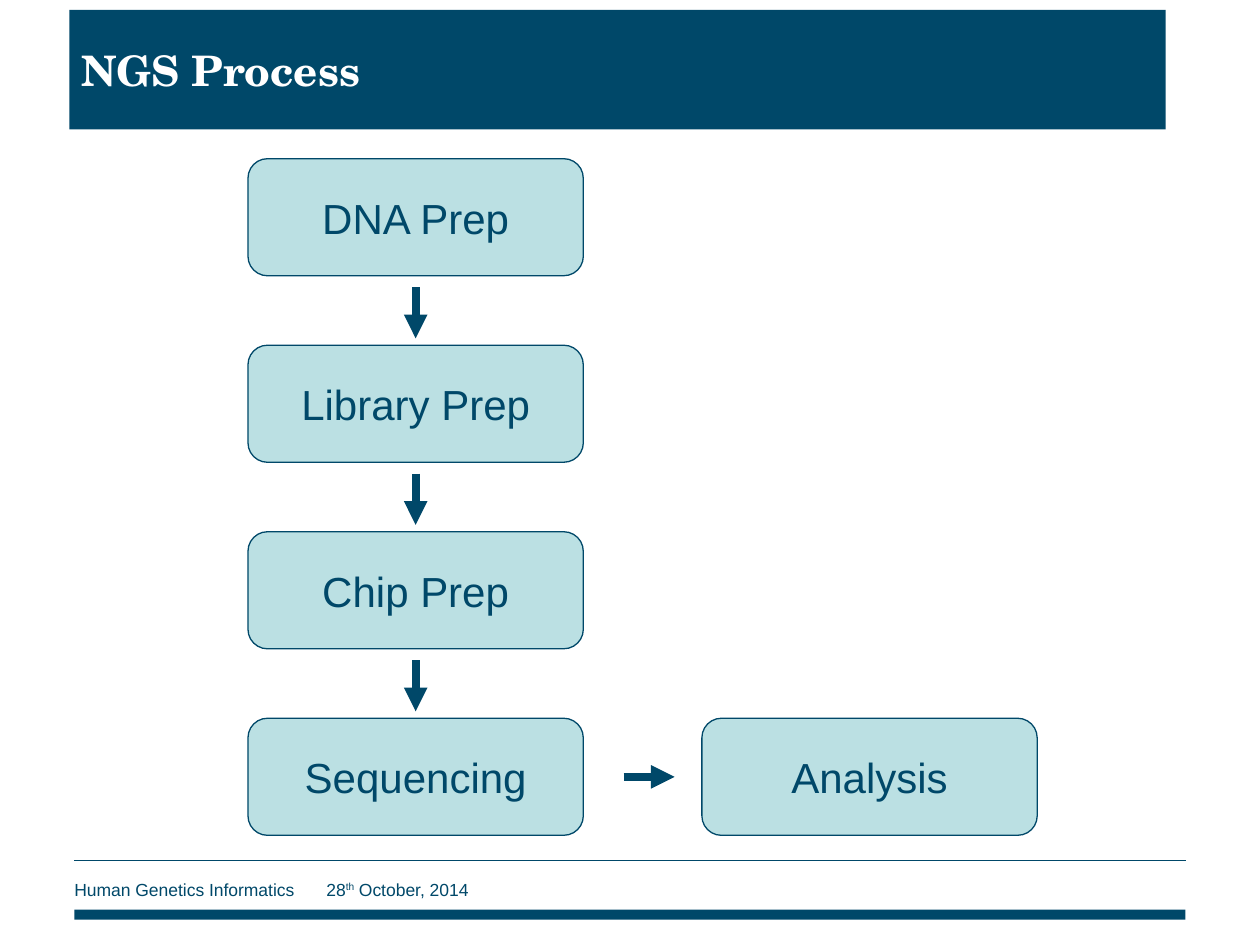
"""Build the NGS process flow slide."""
import lxml.etree
import pptx
import pptx.dml.color
import pptx.enum.shapes
import pptx.enum.text
import pptx.oxml.ns
import pptx.util

Cm = pptx.util.Cm
Pt = pptx.util.Pt
SHAPES = pptx.enum.shapes.MSO_SHAPE
ALIGN = pptx.enum.text.PP_ALIGN
MIDDLE = pptx.enum.text.MSO_ANCHOR.MIDDLE

COLOURS = {"navy": "004869", "aqua": "BBE0E3", "white": "FFFFFF"}
STEPS = ["DNA Prep", "Library Prep", "Chip Prep", "Sequencing"]
STEP_LEFT, STEP_TOP, STEP_WIDTH, STEP_HEIGHT = 5, 3.2, 6.76, 2.36
STEP_PITCH = 3.76
ANALYSIS_LEFT = 14.15
ARROW_LENGTH = 1.03
DOWN_GAP, SIDE_GAP = 0.23, 0.81


def colour(name):
    return pptx.dml.color.RGBColor.from_string(COLOURS[name])


def add_child(parent, tag, **attributes):
    child = lxml.etree.SubElement(parent, pptx.oxml.ns.qn(tag))
    for key, value in attributes.items():
        child.set(key, value)
    return child


def add_span(para, text, size, tint, font="Arial", bold=False):
    span = para.add_run()
    span.text = text
    span.font.name = font
    span.font.size = Pt(size)
    span.font.bold = bold
    span.font.color.rgb = colour(tint)
    return span


def add_block(page, kind, left, top, width, height, fill):
    block = page.shapes.add_shape(kind, Cm(left), Cm(top), Cm(width), Cm(height))
    block.shadow.inherit = False
    block.fill.solid()
    block.fill.fore_color.rgb = colour(fill)
    block.line.fill.background()
    block.text_frame.vertical_anchor = MIDDLE
    return block


def add_step(page, label, left, top):
    step = add_block(page, SHAPES.ROUNDED_RECTANGLE, left, top, STEP_WIDTH, STEP_HEIGHT, "aqua")
    step.line.color.rgb = colour("navy")
    step.line.width = Pt(0.75)
    step.text_frame.word_wrap = False
    para = step.text_frame.paragraphs[0]
    para.alignment = ALIGN.CENTER
    add_span(para, label, 24, "navy")


def add_line(page, start, end, width):
    line = page.shapes.add_connector(
        pptx.enum.shapes.MSO_CONNECTOR.STRAIGHT, *map(Cm, start + end))
    line.line.color.rgb = colour("navy")
    line.line.width = Pt(width)
    add_child(line._element.spPr, "a:effectLst")
    return line


def add_arrow(page, start, end):
    arrow = add_line(page, start, end, 4.5)
    add_child(arrow.line._get_or_add_ln(), "a:tailEnd", type="triangle")


def add_title(page, text):
    banner = add_block(page, SHAPES.RECTANGLE, 1.4, 0.2, 22.1, 2.41, "navy")
    para = banner.text_frame.paragraphs[0]
    para.alignment = ALIGN.LEFT
    add_span(para, text, 24, "white", "TeX Gyre Schola", True)


def add_footer(page):
    add_block(page, SHAPES.RECTANGLE, 1.5, 18.34, 22.4, 0.2, "navy")
    add_line(page, (1.5, 17.35), (23.9, 17.35), 0.75)
    box = page.shapes.add_textbox(Cm(1.5), Cm(17.58), Cm(17.04), Cm(0.69))
    frame = box.text_frame
    frame.word_wrap = True
    frame.vertical_anchor = MIDDLE
    frame.margin_left = 0
    para = frame.paragraphs[0]
    tabs = add_child(para._p.get_or_add_pPr(), "a:tabLst")
    add_child(tabs, "a:tab", pos=str(Cm(5.08)), algn="l")
    add_span(para, "Human Genetics Informatics\t28", 10, "navy")
    ordinal = add_span(para, "th", 10, "navy")
    ordinal._r.get_or_add_rPr().set("baseline", "30000")
    add_span(para, " October, 2014", 10, "navy")


def add_flow(page):
    centre = STEP_LEFT + STEP_WIDTH / 2
    tops = [STEP_TOP + index * STEP_PITCH for index in range(len(STEPS))]
    for label, top in zip(STEPS, tops):
        add_step(page, label, STEP_LEFT, top)
    for top in tops[:-1]:
        start = top + STEP_HEIGHT + DOWN_GAP
        add_arrow(page, (centre, start), (centre, start + ARROW_LENGTH))
    add_step(page, "Analysis", ANALYSIS_LEFT, tops[-1])
    start = STEP_LEFT + STEP_WIDTH + SIDE_GAP
    middle = tops[-1] + STEP_HEIGHT / 2
    add_arrow(page, (start, middle), (start + ARROW_LENGTH, middle))


def main():
    deck = pptx.Presentation()
    deck.slide_width, deck.slide_height = Cm(25.4), Cm(19.05)
    page = deck.slides.add_slide(deck.slide_layouts[6])
    add_footer(page)
    add_title(page, "NGS Process")
    add_flow(page)
    deck.save("out.pptx")


if __name__ == "__main__":
    main()
